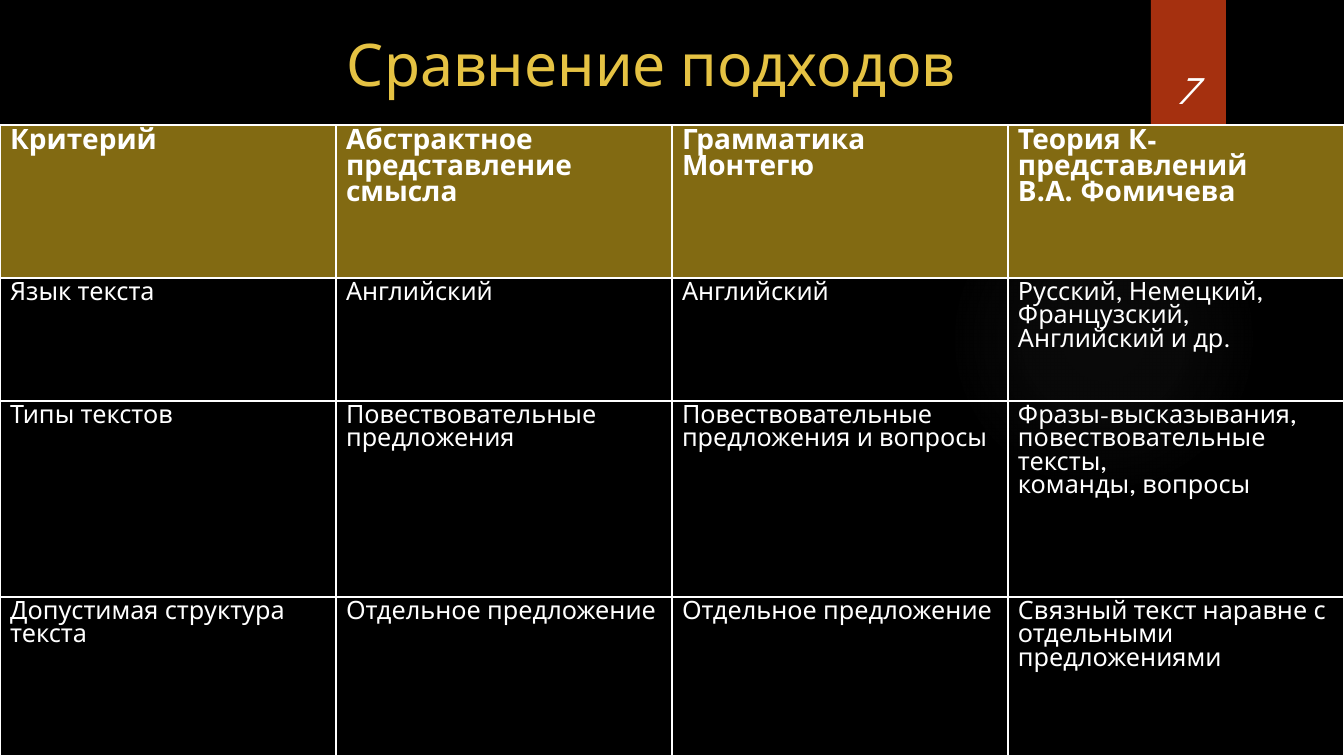
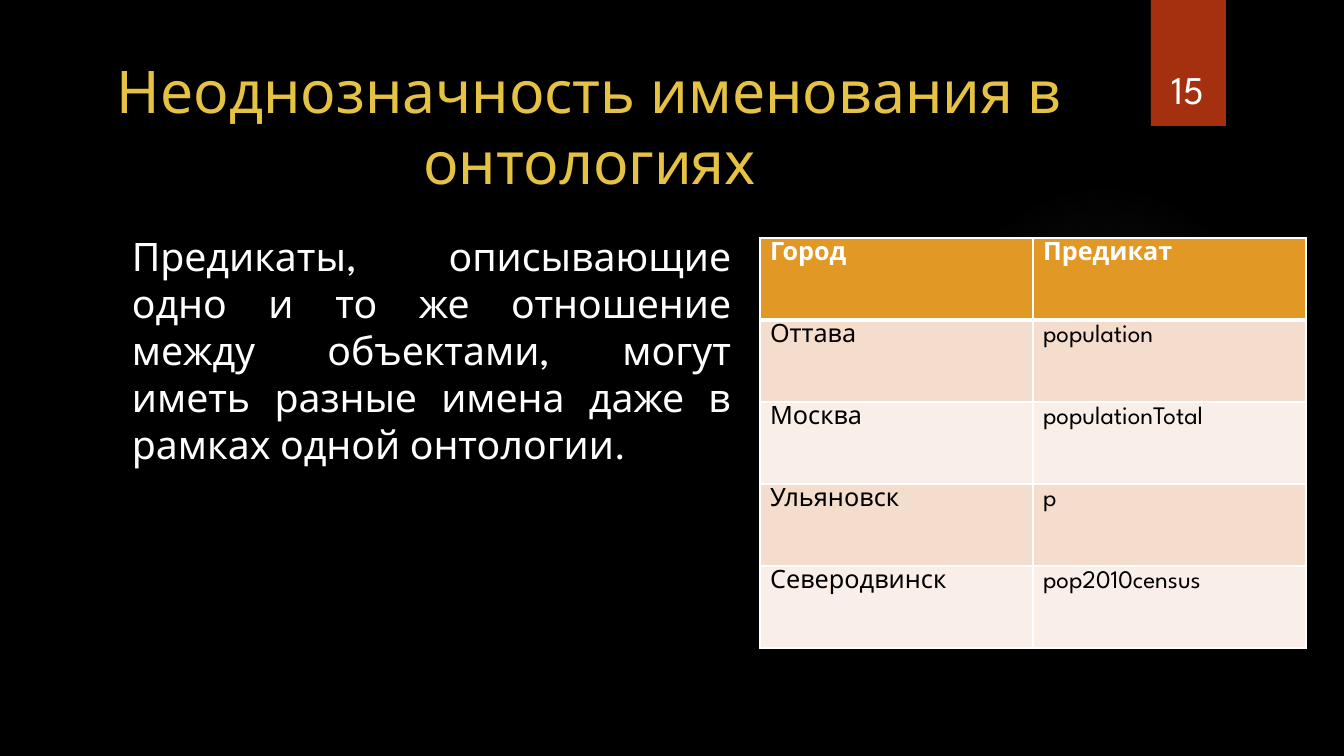
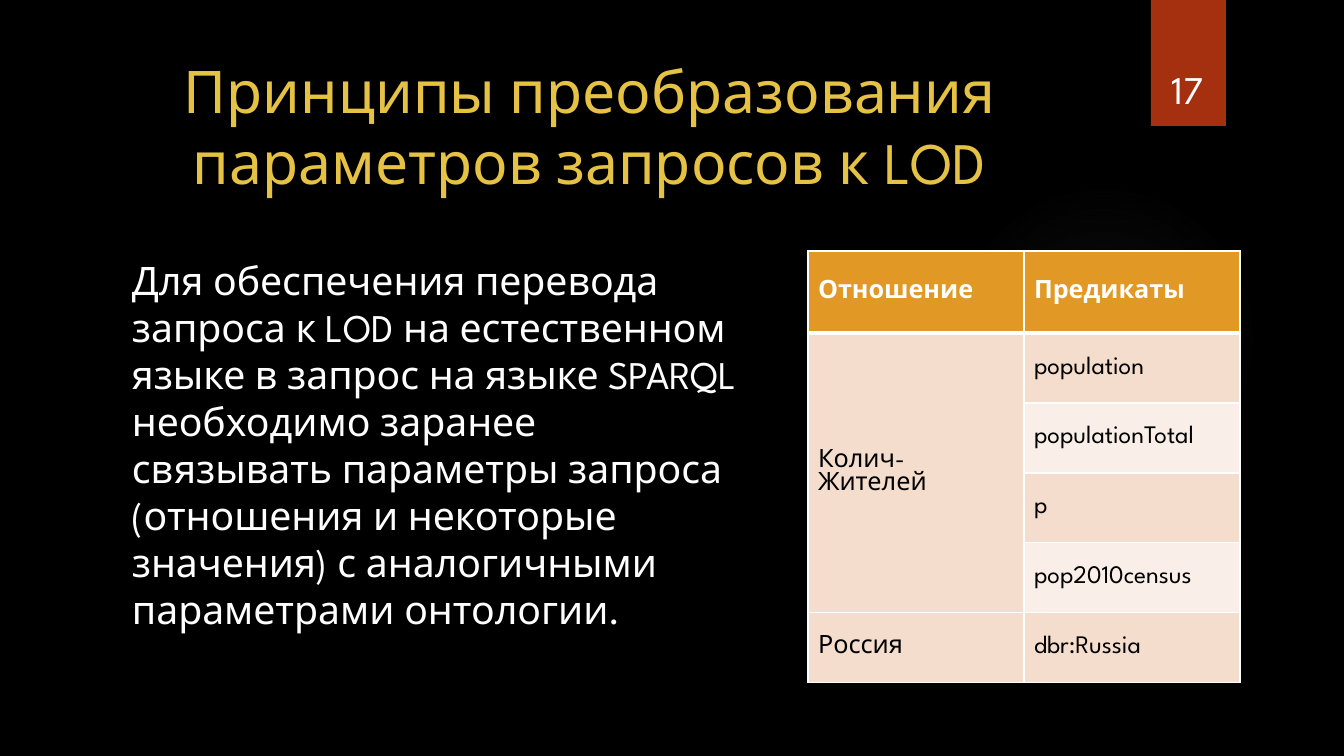
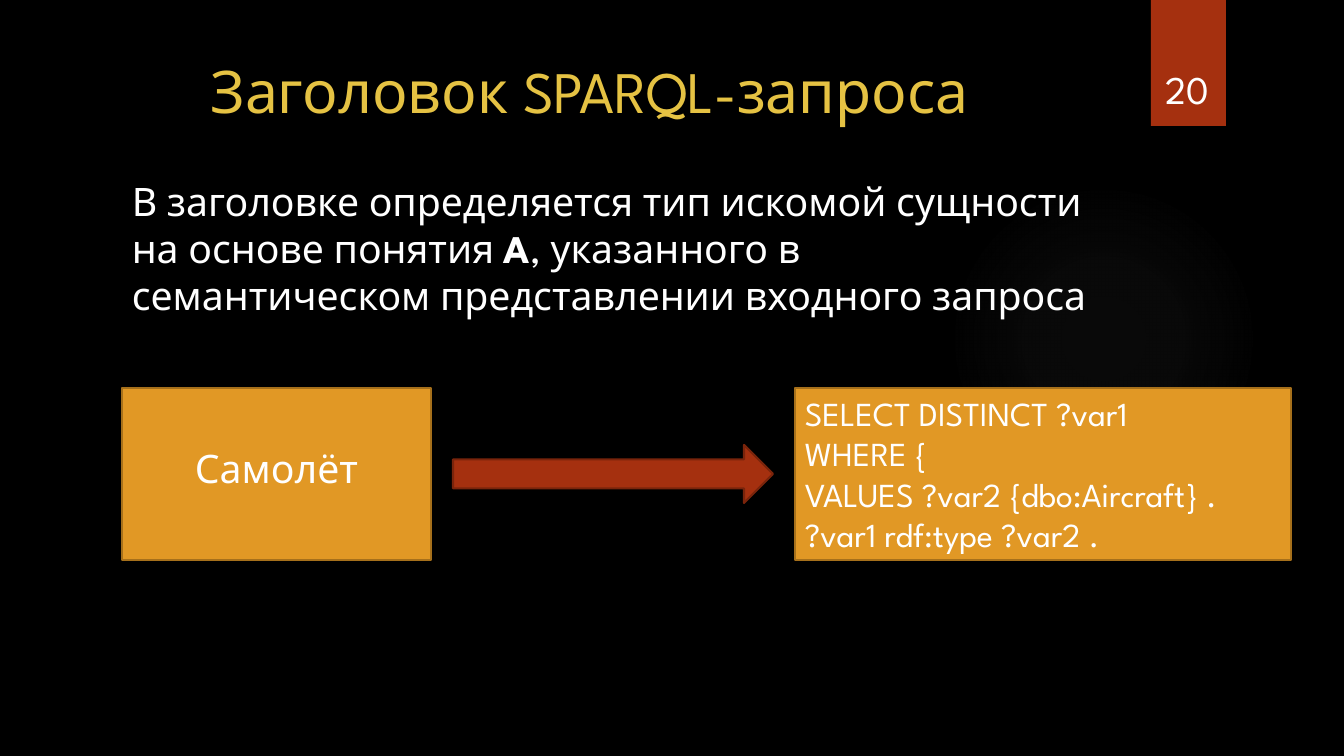
from lxml import etree
from pptx import Presentation
from pptx.dml.color import RGBColor
from pptx.enum.shapes import MSO_SHAPE as Shape
from pptx.enum.text import MSO_ANCHOR as Anchor, PP_ALIGN as Align
from pptx.oxml import parse_xml
from pptx.oxml.ns import nsdecls, qn
from pptx.util import Emu, Pt

# Shared look
FONT = "League Spartan"
BLACK = RGBColor(0x00, 0x00, 0x00)
WHITE = RGBColor(0xFF, 0xFF, 0xFF)
GOLD = RGBColor(0xE5, 0xC2, 0x43)
OLIVE = RGBColor(0x82, 0x6A, 0x12)
RUST = RGBColor(0xA5, 0x30, 0x0F)
RUST_EDGE = RGBColor(0x7A, 0x24, 0x0B)
ORANGE = RGBColor(0xE1, 0x98, 0x25)
ORANGE_EDGE = RGBColor(0xA6, 0x70, 0x1B)
PEACH = RGBColor(0xF4, 0xDD, 0xCD)
CREAM = RGBColor(0xF9, 0xEF, 0xE8)
GLOW_GREY = RGBColor(0x84, 0x84, 0x84)
GLOW_STOPS = [(0, 7), (36, 6), (69, 0)]

SLIDE_WIDTH, SLIDE_HEIGHT = 1344, 756
TITLE_BOX = (71, 50, 1037, 154)


def px(length):
    return Emu(round(length * 914400 / 100.8))


def place(box):
    return [px(length) for length in box]


# Text
def write_text(frame, paras, size=28, color=WHITE, bold=False, italic=False,
               align=Align.LEFT, before=None):
    """Each paragraph is a string or a list of (text, bold) spans."""
    frame.word_wrap = True
    for index, content in enumerate(paras):
        para = frame.paragraphs[0] if index == 0 else frame.add_paragraph()
        para.alignment = align
        if before:
            para.space_before = Pt(before)
        spans = [(content, bold)] if isinstance(content, str) else content
        for text, is_bold in spans:
            for line_number, line in enumerate(text.split("\n")):
                if line_number:
                    para.add_line_break()
                span = para.add_run()
                span.text = line
                span.font.name = FONT
                span.font.size = Pt(size)
                span.font.bold = is_bold
                span.font.italic = italic
                span.font.color.rgb = color


def add_text(page, box, *paras, anchor=Anchor.TOP, **style):
    frame = page.shapes.add_textbox(*place(box)).text_frame
    frame.vertical_anchor = anchor
    write_text(frame, paras, **style)


def add_title(page, text, box=TITLE_BOX):
    add_text(page, box, text, size=42, color=GOLD, align=Align.CENTER)


# Shapes
def add_block(page, kind, box, fill, edge=None):
    block = page.shapes.add_shape(kind, *place(box))
    block.shadow.inherit = False
    block.fill.solid()
    block.fill.fore_color.rgb = fill
    if edge is None:
        block.line.fill.background()
    else:
        block.line.color.rgb = edge
        block.line.width = Pt(1.5)
    return block


def add_glow(page, box):
    glow = add_block(page, Shape.OVAL, box, GLOW_GREY)
    stops = "".join(
        f'<a:gs pos="{position * 1000}"><a:srgbClr val="{GLOW_GREY}">'
        f'<a:alpha val="{alpha * 1000}"/></a:srgbClr></a:gs>'
        for position, alpha in GLOW_STOPS)
    gradient = parse_xml(
        f'<a:gradFill {nsdecls("a")}><a:gsLst>{stops}</a:gsLst>'
        '<a:path path="circle"><a:fillToRect l="50000" t="50000" '
        'r="50000" b="50000"/></a:path></a:gradFill>')
    properties = glow.element.spPr
    properties.replace(properties.find(qn("a:solidFill")), gradient)


def add_page(deck, number, italic=False):
    """Blank slide with the glow, the red tab and the slide number."""
    page = deck.slides.add_slide(deck.slide_layouts[6])
    add_glow(page, (949, 184, 310, 310))
    add_block(page, Shape.RECTANGLE, (1151, 0, 75, 126), RUST)
    add_text(page, (1141, 32, 93, 85), str(number), italic=italic,
             align=Align.CENTER, anchor=Anchor.BOTTOM)
    return page


# Tables
def set_borders(cell, top=1, bottom=1):
    properties = cell._tc.get_or_add_tcPr()
    widths = {"lnL": 1, "lnR": 1, "lnT": top, "lnB": bottom}
    for index, (side, width) in enumerate(widths.items()):
        border = etree.Element(qn(f"a:{side}"), w=str(Pt(width)))
        fill = etree.SubElement(border, qn("a:solidFill"))
        etree.SubElement(fill, qn("a:srgbClr"), val=str(WHITE))
        properties.insert(index, border)


def add_grid(page, left, top, column_width, heights, rows, header_fill,
             bands=None, text_color=WHITE, header_size=18, header_rule=1,
             anchor=Anchor.TOP):
    columns = len(rows[0])
    box = (left, top, column_width * columns, sum(heights))
    table = page.shapes.add_table(len(rows), columns, *place(box)).table
    table.first_row = table.horz_banding = False
    for column in table.columns:
        column.width = px(column_width)
    for row_number, (height, texts) in enumerate(zip(heights, rows)):
        table.rows[row_number].height = px(height)
        header = row_number == 0
        for column_number, text in enumerate(texts):
            cell = table.cell(row_number, column_number)
            cell.vertical_anchor = anchor
            if header or bands:
                cell.fill.solid()
                cell.fill.fore_color.rgb = (
                    header_fill if header else bands[(row_number - 1) % len(bands)])
            else:
                cell.fill.background()
            set_borders(cell, top=header_rule if row_number == 1 else 1,
                        bottom=header_rule if header else 1)
            if text:
                paras = [text] if isinstance(text, str) else text
                write_text(cell.text_frame, paras, bold=header,
                           size=header_size if header else 18,
                           color=WHITE if header else text_color)
    return table


def add_banded_grid(page, left, top, column_width, heights, rows, **options):
    return add_grid(page, left, top, column_width, heights, rows, ORANGE,
                    bands=(PEACH, CREAM), text_color=BLACK, header_rule=3,
                    **options)


# Slides
def build_comparison(deck):
    page = add_page(deck, 7, italic=True)
    add_title(page, "Сравнение подходов", (133, 23, 1037, 86))
    rows = [
        ["Критерий", "Абстрактное представление смысла", "Грамматика Монтегю",
         "Теория К-представлений \nВ.А. Фомичева"],
        ["Язык текста", "Английский", "Английский",
         "Русский, Немецкий, Французский, Английский и др."],
        ["Типы текстов", "Повествовательные предложения",
         "Повествовательные предложения и вопросы",
         ("Фразы-высказывания, повествовательные тексты,", "команды, вопросы")],
        ["Допустимая структура текста", "Отдельное предложение",
         "Отдельное предложение",
         "Связный текст наравне с отдельными предложениями"],
    ]
    add_grid(page, 0, 125, SLIDE_WIDTH // 4, [153, 123, 196, 159], rows, OLIVE,
             header_size=20)


def build_ambiguity(deck):
    page = add_page(deck, 15)
    add_title(page, "Неоднозначность именования в онтологиях")
    add_text(page, (122, 227, 619, 463),
             "Предикаты, описывающие одно и то же отношение между объектами, "
             "могут иметь разные имена даже в рамках одной онтологии.",
             align=Align.JUSTIFY, before=10)
    rows = [["Город", "Предикат"], ["Оттава", "population"],
            ["Москва", "populationTotal"], ["Ульяновск", "p"],
            ["Северодвинск", "pop2010census"]]
    add_banded_grid(page, 760, 238, 273, [82] * 5, rows)


def build_principles(deck):
    page = add_page(deck, 17)
    add_title(page, "Принципы преобразования параметров запросов к LOD")
    add_text(page, (122, 251, 633, 463),
             "Для обеспечения перевода запроса к LOD на естественном языке в "
             "запрос на языке SPARQL необходимо заранее связывать параметры "
             "запроса (отношения и некоторые значения) с аналогичными "
             "параметрами онтологии.", before=10)
    rows = [["Отношение", "Предикаты"], ["Колич-Жителей", "population"],
            ["", "populationTotal"], ["", "p"], ["", "pop2010census"],
            ["Россия", "dbr:Russia"]]
    table = add_banded_grid(page, 808, 251, 216, [82] + [70] * 5, rows,
                            anchor=Anchor.MIDDLE)
    relation = table.cell(1, 0)
    relation.merge(table.cell(4, 0))
    relation.margin_right = px(20)


def build_query_header(deck):
    page = add_page(deck, 20)
    add_title(page, "Заголовок SPARQL-запроса")
    add_text(page, (122, 172, 986, 120),
             [("В заголовке определяется тип искомой сущности на основе понятия ", False),
              ("A", True),
              (", указанного в \nсемантическом представлении входного запроса", False)],
             before=10)
    # Concept, arrow and resulting query
    query_box = (795, 388, 496, 172)
    add_block(page, Shape.RECTANGLE, (122, 388, 309, 172), ORANGE, ORANGE_EDGE)
    add_block(page, Shape.RECTANGLE, query_box, ORANGE, ORANGE_EDGE)
    add_block(page, Shape.RIGHT_ARROW, (453, 445, 320, 58), RUST, RUST_EDGE)
    add_text(page, (173, 439, 207, 57), "Самолёт", align=Align.CENTER)
    add_text(page, query_box, "SELECT DISTINCT ?var1", "WHERE {",
             "VALUES ?var2 {dbo:Aircraft} .", "?var1 rdf:type ?var2 .", size=24)


def main():
    deck = Presentation()
    deck.slide_width, deck.slide_height = px(SLIDE_WIDTH), px(SLIDE_HEIGHT)
    background = deck.slide_master.background.fill
    background.solid()
    background.fore_color.rgb = BLACK
    for build in (build_comparison, build_ambiguity, build_principles,
                  build_query_header):
        build(deck)
    deck.save("out.pptx")


if __name__ == "__main__":
    main()
